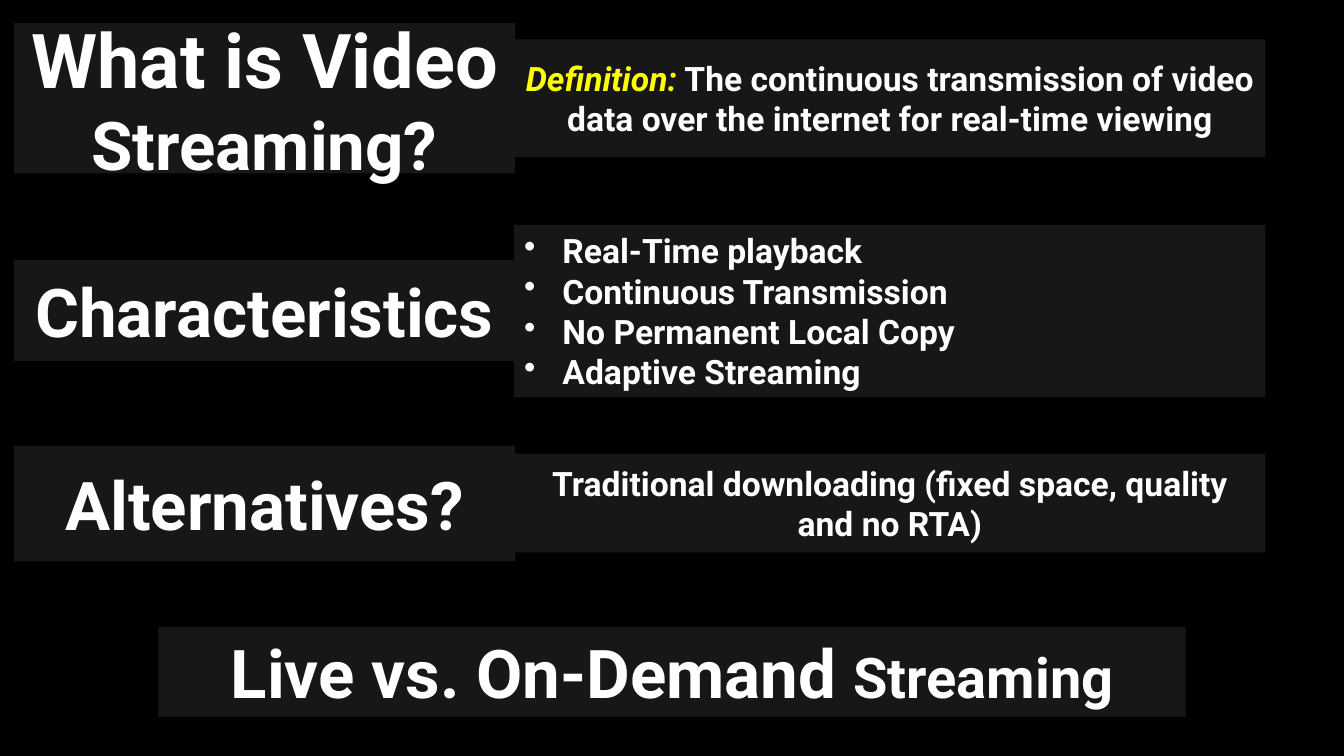
from lxml import etree
from pptx import Presentation
from pptx.dml.color import RGBColor
from pptx.enum.shapes import MSO_SHAPE
from pptx.enum.text import MSO_ANCHOR, PP_ALIGN
from pptx.oxml.ns import qn
from pptx.util import Inches, Pt

RECT = MSO_SHAPE.RECTANGLE
MIDDLE = MSO_ANCHOR.MIDDLE
CENTER = PP_ALIGN.CENTER
LEFT = PP_ALIGN.LEFT


def color(code):
    return RGBColor.from_string(code)


class Deck:
    """Dark slide with grey panels of bold white text."""

    font = "Roboto"
    back = "000000"
    panel = "171717"
    ink = "FFFFFF"
    accent = "FFFF00"

    def __init__(self):
        self.prs = Presentation()
        self.prs.slide_width = Inches(13.33)
        self.prs.slide_height = Inches(7.5)
        self.slide = self.prs.slides.add_slide(self.prs.slide_layouts[6])
        fill = self.slide.background.fill
        fill.solid()
        fill.fore_color.rgb = color(self.back)

    def box(self, x, y, w, h):
        shape = self.slide.shapes.add_shape(
            RECT, Inches(x), Inches(y), Inches(w), Inches(h))
        shape.shadow.inherit = False
        shape.fill.solid()
        shape.fill.fore_color.rgb = color(self.panel)
        shape.line.fill.background()
        frame = shape.text_frame
        frame.word_wrap = True
        frame.vertical_anchor = MIDDLE
        frame.margin_left = frame.margin_right = Inches(0.1)
        frame.margin_top = frame.margin_bottom = Inches(0.1)
        return frame

    def style(self, para, size, align=CENTER):
        para.alignment = align
        para.font.name = self.font
        para.font.size = Pt(size)
        para.font.bold = True
        para.font.color.rgb = color(self.ink)

    def text(self, place, size, *parts):
        para = self.box(*place).paragraphs[0]
        self.style(para, size)
        runs = [para.add_run() for _ in parts]
        for run, part in zip(runs, parts):
            run.text = part
        return runs

    def bullets(self, place, size, items):
        frame = self.box(*place)
        frame.text = "\n".join(items)
        for para in frame.paragraphs:
            self.style(para, size, LEFT)
            props = para._p.get_or_add_pPr()
            props.set("marL", str(Inches(0.38)))
            props.set("indent", str(-Inches(0.38)))
            mark = etree.Element(qn("a:buChar"), char="•")
            props.insert_element_before(mark, "a:tabLst", "a:defRPr", "a:extLst")


def main():
    deck = Deck()
    head_x, head_w = 0.14, 4.97
    body_x, body_w = 5.1, 7.45

    title = deck.text((head_x, 0.23, head_w, 1.49), 48,
                      "What is Video ", "Streaming?")
    title[0].font.size = Pt(54)
    term = deck.text((body_x, 0.39, body_w, 1.17), 24, "Definition:",
                     " The continuous transmission of video data over the "
                     "internet for real-time viewing")[0]
    term.font.italic = True
    term.font.color.rgb = color(deck.accent)

    deck.text((head_x, 2.58, head_w, 1), 48, "Characteristics")
    deck.bullets((body_x, 2.23, body_w, 1.71), 24, [
        "Real-Time playback",
        "Continuous Transmission",
        "No Permanent Local Copy",
        "Adaptive Streaming",
    ])

    deck.text((head_x, 4.42, head_w, 1.15), 48, "Alternatives?")
    deck.text((body_x, 4.5, body_w, 0.98), 24,
              "Traditional downloading (fixed space, quality and no RTA)")

    modes = deck.text((1.57, 6.22, 10.19, 0.89), 48,
                      "Live vs. On-Demand ", "Streaming")
    modes[1].font.size = Pt(40)

    deck.prs.save("out.pptx")


if __name__ == "__main__":
    main()
